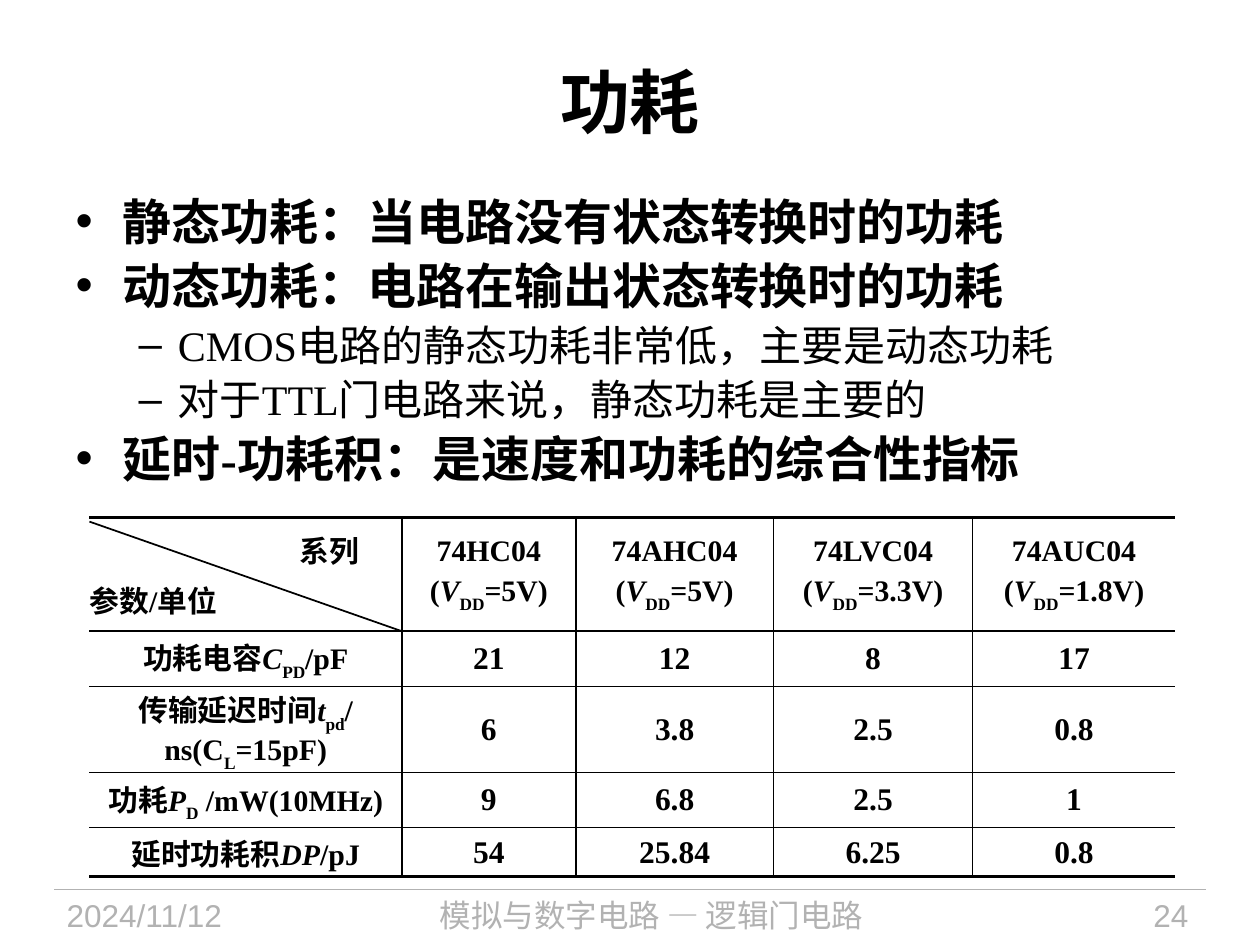
import pptx
import pptx.util
import pptx.dml.color
import pptx.enum.lang
import pptx.enum.shapes
import pptx.enum.text
import pptx.oxml
import pptx.oxml.ns

PX = 9144
ALIGN = pptx.enum.text.PP_ALIGN
ANCHOR = pptx.enum.text.MSO_ANCHOR
SERIF = "Times New Roman"
SANS = "Arial"
BLACK = "000000"
GRAY = "B2B2B2"

BULLETS = [
    (0, "静态功耗：当电路没有状态转换时的功耗"),
    (0, "动态功耗：电路在输出状态转换时的功耗"),
    (1, "CMOS电路的静态功耗非常低，主要是动态功耗"),
    (1, "对于TTL门电路来说，静态功耗是主要的"),
    (0, "延时-功耗积：是速度和功耗的综合性指标"),
]
FAMILIES = [("74HC04", "5V"), ("74AHC04", "5V"), ("74LVC04", "3.3V"), ("74AUC04", "1.8V")]
MEASURES = [
    ("功耗电容|*C|_PD|/pF", ["21", "12", "8", "17"]),
    ("传输延迟时间|*t|_pd|/ns(C|_L|=15pF)", ["6", "3.8", "2.5", "0.8"]),
    ("功耗|*P|_D| /mW(10MHz)", ["9", "6.8", "2.5", "1"]),
    ("延时功耗积|*DP|/pJ", ["54", "25.84", "6.25", "0.8"]),
]
COLUMNS = [248, 138, 157, 158, 161]
ROWS = [90, 44, 68, 44, 39]


def color(value):
    return pptx.dml.color.RGBColor.from_string(value)


def emu(*lengths):
    return [pptx.util.Emu(length * PX) for length in lengths]


def style(span, size, name, tint, bold=False):
    font = span.font
    font.size = pptx.util.Pt(size)
    font.name = name
    font.bold = bold
    font.color.rgb = color(tint)
    font.language_id = pptx.enum.lang.MSO_LANGUAGE_ID.SIMPLIFIED_CHINESE


def place(shape, box):
    shape.left, shape.top, shape.width, shape.height = emu(*box)


def add_line(page, start, end, tint, width):
    line = page.shapes.add_connector(
        pptx.enum.shapes.MSO_CONNECTOR.STRAIGHT, *emu(*start, *end))
    line.line.color.rgb = color(tint)
    line.line.width = pptx.util.Pt(width)
    line._element.spPr.append(pptx.oxml.parse_xml(
        f"<a:effectLst {pptx.oxml.ns.nsdecls('a')}/>"))


def add_footer(page, box):
    left, top, width, height = box
    add_line(page, (left, top), (left + width, top), GRAY, 0.75)
    parts = [
        (0, 188, ALIGN.LEFT, "2024/11/12"),
        (206, 536, ALIGN.CENTER, "模拟与数字电路 — 逻辑门电路"),
        (777, 133, ALIGN.RIGHT, "24"),
    ]
    for offset, extent, align, text in parts:
        frame = page.shapes.add_textbox(*emu(left + offset, top, extent, height)).text_frame
        frame.word_wrap = True
        frame.vertical_anchor = ANCHOR.TOP
        frame.text = text
        frame.paragraphs[0].alignment = align
        style(frame.paragraphs[0].runs[0], 18, SANS, GRAY)


def fill_title(page, box):
    title = page.shapes.title
    place(title, box)
    title.text_frame.text = "功耗"
    title.text_frame.vertical_anchor = ANCHOR.MIDDLE
    para = title.text_frame.paragraphs[0]
    para.alignment = ALIGN.CENTER
    style(para.runs[0], 40, SERIF, BLACK, True)


def fill_body(page, box):
    body = page.placeholders[1]
    place(body, box)
    frame = body.text_frame
    frame.text = "\n".join(text for level, text in BULLETS)
    frame.auto_size = pptx.enum.text.MSO_AUTO_SIZE.NONE
    for para, (level, text) in zip(frame.paragraphs, BULLETS):
        size = 24 if level else 28
        para.level = level
        para.space_before = pptx.util.Pt(0)
        para.space_after = pptx.util.Pt(size / 10)
        style(para.runs[0], size, SERIF, BLACK, level == 0)


def set_borders(cell, widths):
    properties = cell._tc.get_or_add_tcPr()
    for side, width in zip("LRTB", widths):
        paint = f'<a:solidFill><a:srgbClr val="{BLACK}"/></a:solidFill>' if width else "<a:noFill/>"
        properties.append(pptx.oxml.parse_xml(
            f'<a:ln{side} {pptx.oxml.ns.nsdecls("a")} w="{width * 12700}">{paint}</a:ln{side}>'))


def write_cell(cell, lines, size):
    cell.margin_left = cell.margin_right = cell.margin_top = cell.margin_bottom = 0
    cell.vertical_anchor = ANCHOR.MIDDLE
    frame = cell.text_frame
    for index, line in enumerate(lines):
        para = frame.add_paragraph() if index else frame.paragraphs[0]
        para.alignment = ALIGN.CENTER
        if index:
            para.space_before = pptx.util.Pt(3.4)
        for piece in line.split("|"):
            span = para.add_run()
            span.text = piece.lstrip("*_")
            style(span, size, SERIF, BLACK, True)
            if piece.startswith("*"):
                span.font.italic = True
            if piece.startswith("_"):
                span._r.get_or_add_rPr().set("baseline", "-30000")


def add_comparison(page, left, top):
    box = emu(left, top, sum(COLUMNS), sum(ROWS))
    table = page.shapes.add_table(len(ROWS), len(COLUMNS), *box).table
    table.first_row = table.horz_banding = False
    for column, width in zip(table.columns, COLUMNS):
        column.width = emu(width)[0]
    for row, height in zip(table.rows, ROWS):
        row.height = emu(height)[0]

    header = [["系列", "参数/单位"]]
    header += [[family, f"(|*V|_DD|={voltage})"] for family, voltage in FAMILIES]
    content = [header] + [[[name]] + [[value] for value in values] for name, values in MEASURES]
    last_row, last_column = len(ROWS) - 1, len(COLUMNS) - 1
    for r, cells in enumerate(content):
        for c, lines in enumerate(cells):
            cell = table.cell(r, c)
            write_cell(cell, lines, 18 if r and c else 17)
            set_borders(cell, [int(c > 0), int(c < last_column),
                               1 if r else 2, 2 if r == last_row else 1])
            cell.fill.background()

    corner = table.cell(0, 0).text_frame.paragraphs
    for para in corner:
        para.alignment = ALIGN.LEFT
    corner[0]._p.get_or_add_pPr().set("marL", str(167 * PX))
    add_line(page, (left, top + 3), (left + COLUMNS[0], top + ROWS[0]), BLACK, 1)


def main():
    deck = pptx.Presentation()
    deck.slide_width, deck.slide_height = emu(1000, 750)
    page = deck.slides.add_slide(deck.slide_layouts[1])
    add_footer(page, (43, 706, 914, 44))
    fill_title(page, (50, 17, 900, 125))
    fill_body(page, (50, 147, 900, 256))
    add_comparison(page, 71, 411)
    deck.save("out.pptx")


if __name__ == "__main__":
    main()
